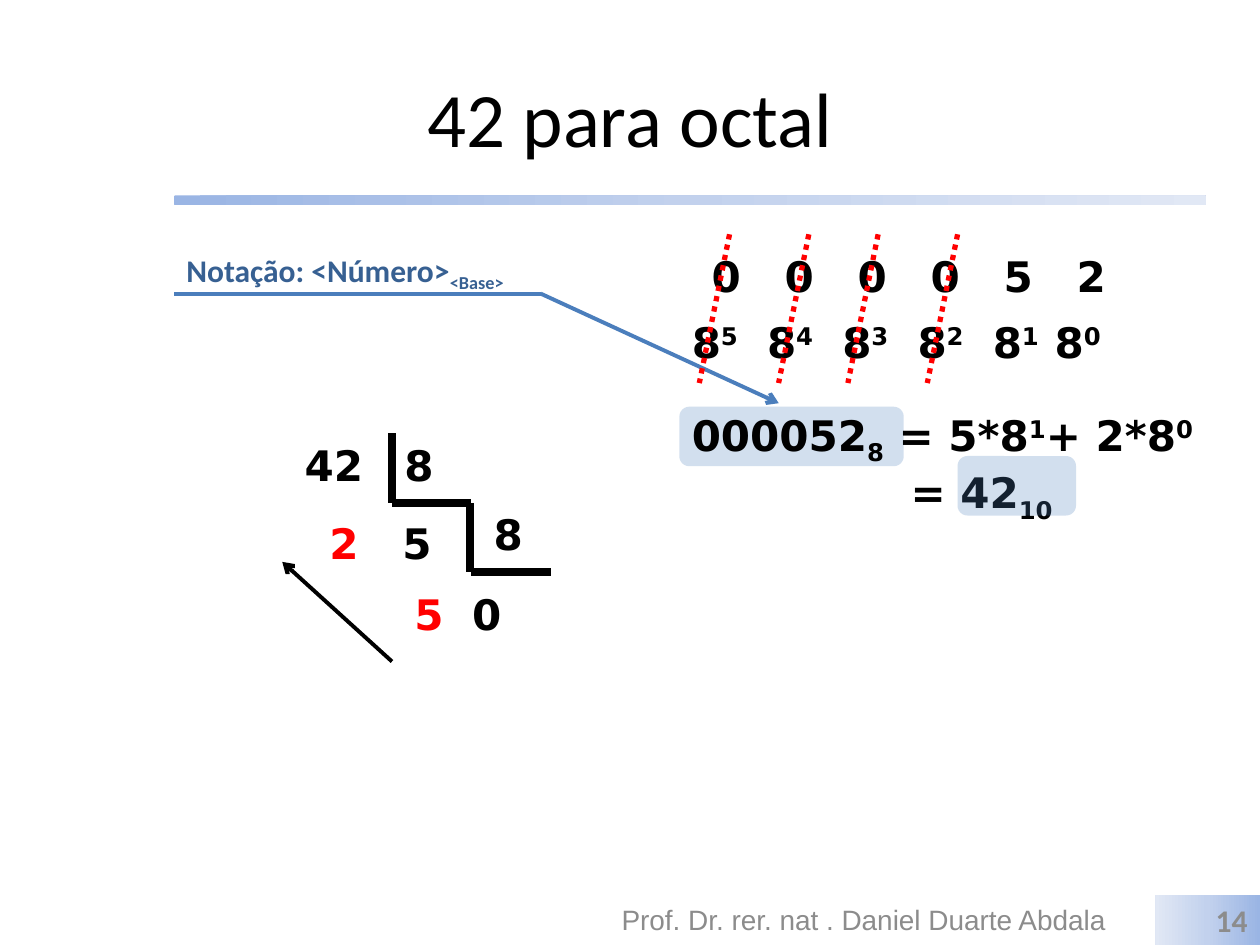
from copy import deepcopy

from lxml import etree
from pptx import Presentation
from pptx.dml.color import RGBColor
from pptx.enum import dml, shapes, text
from pptx.oxml import ns
from pptx.util import Pt

BLACK = RGBColor(0, 0, 0)
RED = RGBColor(255, 0, 0)
GRAY = RGBColor(0x8C, 0x8C, 0x8C)
NAVY = RGBColor(0x37, 0x60, 0x92)
BLUE = RGBColor(0x4B, 0x7E, 0xBC)
PILL = RGBColor(0x4F, 0x81, 0xBD)
FADE = [RGBColor(0x9A, 0xB5, 0xE4), RGBColor(0xC2, 0xD1, 0xED),
        RGBColor(0xE1, 0xE8, 0xF5)]
MONO = "DejaVu Sans"
SUB, SUP = -25, 30


def child(node, tag, **attrs):
    return etree.SubElement(node, ns.qn(tag), **attrs)


def write(par, runs, size=24, face=MONO, color=BLACK, bold=True, tabs=()):
    """Fill a paragraph; a run is text, or (text, baseline percent or colour)."""
    if tabs:
        stops = child(par._p.get_or_add_pPr(), "a:tabLst")
        for pos in tabs:
            child(stops, "a:tab", pos=str(Pt(pos)), algn="l")
    for item in runs:
        words, mark = item if isinstance(item, tuple) else (item, None)
        run = par.add_run()
        run.text = words
        font = run.font
        font.size, font.name, font.bold = Pt(size), face, bold
        font.color.rgb = mark if isinstance(mark, RGBColor) else color
        if mark in (SUB, SUP):
            font._element.set("baseline", str(mark * 1000))


def label(slide, x, y, w, h, runs, align=None, mid=False, wrap=True, **style):
    box = slide.shapes.add_textbox(Pt(x), Pt(y), Pt(w), Pt(h))
    frame = box.text_frame
    frame.word_wrap = wrap
    if mid:
        frame.vertical_anchor = text.MSO_ANCHOR.MIDDLE
    par = frame.paragraphs[0]
    par.alignment = align
    write(par, runs, **style)
    return frame


def block(slide, kind, x, y, w, h):
    shape = slide.shapes.add_shape(kind, Pt(x), Pt(y), Pt(w), Pt(h))
    shape.shadow.inherit = False
    shape.line.fill.background()
    return shape


def fade(shape, angle):
    shape.fill.gradient()
    shape.fill.gradient_angle = angle
    first = shape._element.spPr.find(".//" + ns.qn("a:gs"))
    first.addnext(deepcopy(first))
    for i, stop in enumerate(shape.fill.gradient_stops):
        stop.position = i / 2
        stop.color.rgb = FADE[i]


def pill(slide, x, y, w):
    """Translucent highlight."""
    shape = block(slide, shapes.MSO_SHAPE.ROUNDED_RECTANGLE, x, y, w, 34)
    shape.fill.solid()
    shape.fill.fore_color.rgb = PILL
    color = shape._element.spPr.find(".//" + ns.qn("a:srgbClr"))
    child(color, "a:alpha", val="25000")


def line(slide, x1, y1, x2, y2, color, width, arrow=False, dots=False):
    link = slide.shapes.add_connector(
        shapes.MSO_CONNECTOR.STRAIGHT, Pt(x1), Pt(y1), Pt(x2), Pt(y2))
    link.line.color.rgb = color
    link.line.width = Pt(width)
    if dots:
        link.line.dash_style = dml.MSO_LINE.ROUND_DOT
    if arrow:
        child(link.line._get_or_add_ln(), "a:tailEnd", type="arrow")
    child(link._element.spPr, "a:effectLst")


def frame(slide):
    """Title, rule and footer."""
    kind = shapes.MSO_SHAPE
    fade(block(slide, kind.ROUNDED_RECTANGLE, 99.4, 111.6, 589.7, 5.8), 0)
    label(slide, 36, 21.6, 648, 90, ["42 para octal"], text.PP_ALIGN.CENTER,
          True, size=44, face="Calibri", bold=False)
    label(slide, 342.7, 511.2, 301.7, 28.8,
          ["Prof. Dr. rer. nat . Daniel Duarte Abdala"],
          text.PP_ALIGN.CENTER, True, size=16, face="Arial", color=GRAY,
          bold=False)
    page = block(slide, kind.RECTANGLE, 660.3, 511.2, 59.7, 28.8)
    fade(page, 180)
    page.text_frame.vertical_anchor = text.MSO_ANCHOR.MIDDLE
    par = page.text_frame.paragraphs[0]
    par.alignment = text.PP_ALIGN.RIGHT
    write(par, ["14"], size=18, face="Calibri", color=GRAY)


def note(slide):
    pill(slide, 388.2, 232.4, 128.2)
    line(slide, 309, 167.8, 445, 230.4, BLUE, 2.25, arrow=True)
    line(slide, 309, 167.8, 99.4, 167.8, BLUE, 2.25)
    label(slide, 99.4, 139.7, 202.3, 28.8,
          ["Notação: <Número>", ("<Base>", SUB)], wrap=False,
          size=18, face="Calibri", color=NAVY)


def division(slide):
    """Repeated division by eight."""
    left, right, top, mid, low = 224, 268.8, 247.7, 287.3, 326.9
    for ends in [(left, mid, right + 0.5, mid), (right, mid, right, low),
                 (right + 0.5, low, 314.6, low), (left, top, left, mid)]:
        line(slide, *ends, BLACK, 4.5)
    line(slide, left, 378, 161.3, 321.1, BLACK, 2.25, arrow=True)
    label(slide, 167, top, 57, 36, ["42"])
    label(slide, left, top, 34, 36, ["8"])
    label(slide, 275, mid, 34, 36, ["8"])
    label(slide, 229.7, 332.6, 96.5, 36, [("5", RED), "\t0"], tabs=[33])
    label(slide, 181.2, 292.3, 99, 36, [("2", RED), "\t5"], tabs=[41.7])


def weights(slide):
    """Digits over the powers of eight, and their sum."""
    label(slide, 399.6, 139.7, 300, 36, ["\t".join("000052")],
          tabs=[41.7 * i for i in range(1, 6)])
    powers = ["8", ("5", SUP)]
    for power in "43210":
        powers += ["\t8", (power, SUP)]
    label(slide, 388.2, 177.1, 300, 36, powers,
          tabs=[43 * i for i in range(1, 5)] + [207.4])
    total = label(slide, 388.2, 230.4, 331.8, 65,
                  ["000052", ("8", SUB), " = 5*8", ("1", SUP), "+ 2*8",
                   ("0", SUP)])
    write(total.add_paragraph(), ["\t= 42", ("10", SUB)], tabs=[125])
    pill(slide, 547.2, 260.6, 67.7)
    for x in (416.9, 462.2, 501.8, 547.2):
        line(slide, x, 133.9, x - 17.3, 218.9, RED, 3, dots=True)


def main():
    deck = Presentation()
    deck.slide_width, deck.slide_height = Pt(720), Pt(540)
    slide = deck.slides.add_slide(deck.slide_layouts[6])
    for part in (frame, note, division, weights):
        part(slide)
    deck.save("out.pptx")


if __name__ == "__main__":
    main()
